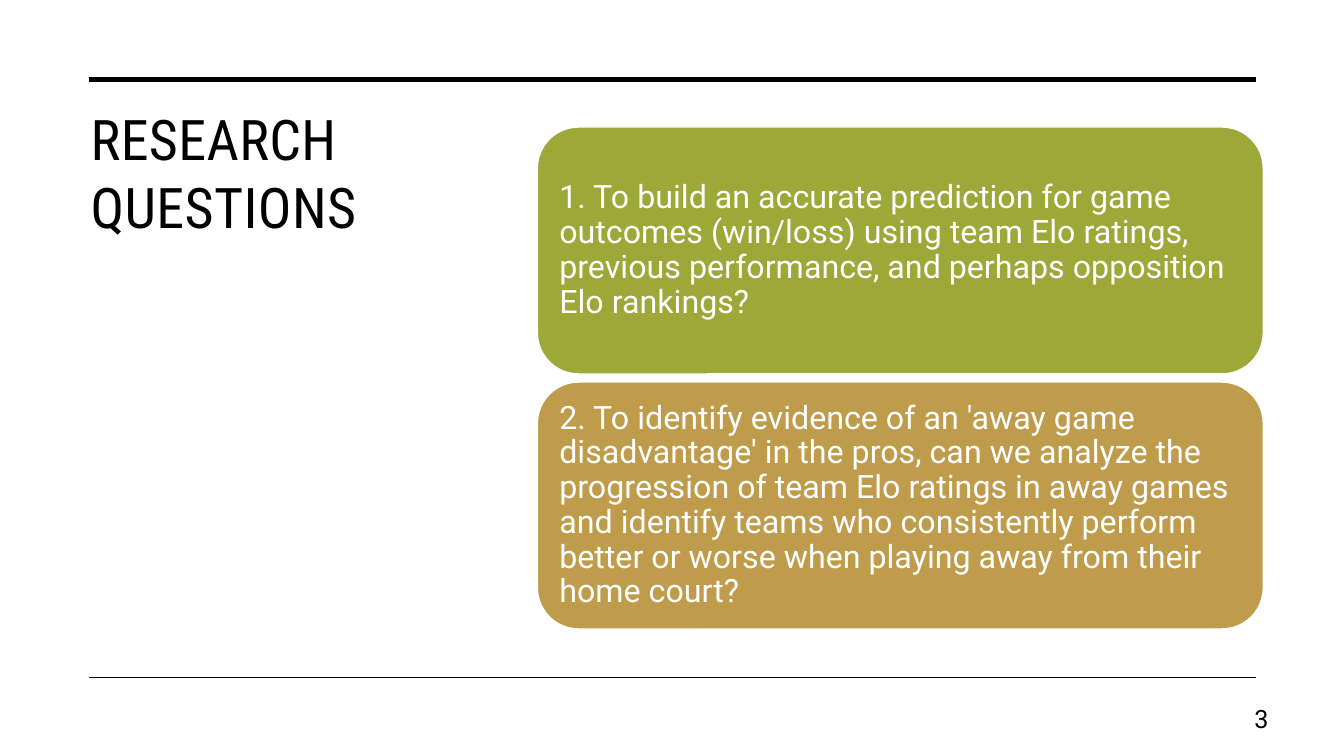
"""Builds the research questions slide."""
from lxml.etree import SubElement
from pptx import Presentation
from pptx.dml.color import RGBColor
from pptx.enum.shapes import MSO_CONNECTOR as Link, MSO_SHAPE as Shape
from pptx.enum.text import MSO_ANCHOR as Anchor, MSO_AUTO_SIZE as Fit, PP_ALIGN as Align
from pptx.oxml.ns import qn
from pptx.util import Pt

SCALE = 9144
HUES = {"ink": "000000", "paper": "FFFFFF", "green": "9CA838", "tan": "BF9C4B"}
GOALS = [
    ("green", "1. To build an accurate prediction for game outcomes (win/loss) "
     "using team Elo ratings, previous performance, and perhaps opposition Elo rankings?"),
    ("tan", "2. To identify evidence of an 'away game disadvantage' in the pros, can we "
     "analyze the progression of team Elo ratings in away games and identify teams who "
     "consistently perform better or worse when playing away from their home court?"),
]


def px(*sizes):
    return [size * SCALE for size in sizes]


def hue(name):
    return RGBColor.from_string(HUES[name])


def write(frame, text, size, font="Roboto", color="ink", align=Align.LEFT,
          anchor=Anchor.MIDDLE, lead=0.9, after=0, pad=(10, 5), track=0):
    frame.word_wrap = True
    frame.auto_size = Fit.NONE
    frame.vertical_anchor = anchor
    frame.margin_left = frame.margin_right = pad[0] * SCALE
    frame.margin_top = frame.margin_bottom = pad[1] * SCALE
    para = frame.paragraphs[0]
    para.alignment, para.line_spacing = align, lead
    para.space_before, para.space_after = Pt(0), Pt(after)
    run = para.add_run()
    run.text = text
    run.font.name, run.font.size = font, Pt(size)
    run.font.color.rgb = hue(color)
    if track:
        run.font._element.set("spc", str(track))


class Deck:
    def __init__(self):
        self.show = Presentation()
        self.show.slide_width, self.show.slide_height = px(1333, 750)
        self.slide = self.show.slides.add_slide(self.show.slide_layouts[5])
        self.shapes = self.slide.shapes

    def title(self, text, box):
        head = self.shapes.title
        head.left, head.top, head.width, head.height = px(*box)
        write(head.text_frame, text, 40, font="Roboto Condensed",
              anchor=Anchor.TOP, lead=1.0, track=30)

    def rule(self, left, right, y, weight):
        line = self.shapes.add_connector(Link.STRAIGHT, *px(left, y, right, y))
        line.line.color.rgb, line.line.width = hue("ink"), Pt(weight)
        SubElement(line._element.spPr, qn("a:effectLst"))

    def card(self, text, fill, box):
        card = self.shapes.add_shape(Shape.ROUNDED_RECTANGLE, *px(*box))
        card.shadow.inherit = False
        card.fill.solid()
        card.fill.fore_color.rgb = hue(fill)
        card.line.color.rgb, card.line.width = hue("paper"), Pt(1)
        write(card.text_frame, text, 23, color="paper", after=8, pad=(10, 10))

    def label(self, text, box):
        note = self.shapes.add_textbox(*px(*box))
        write(note.text_frame, text, 18, align=Align.RIGHT, after=6)


def main():
    deck = Deck()
    deck.title("RESEARCH QUESTIONS", (80, 99, 400, 482))
    for y, weight in ((79, 3.5), (672, 1)):
        deck.rule(88, 1246, y, weight)
    deck.label("3", (1194, 695, 74, 40))
    for row, (fill, text) in enumerate(GOALS):
        deck.card(text, fill, (533, 126 + row * 253, 720, 245))
    deck.show.save("out.pptx")


if __name__ == "__main__":
    main()
